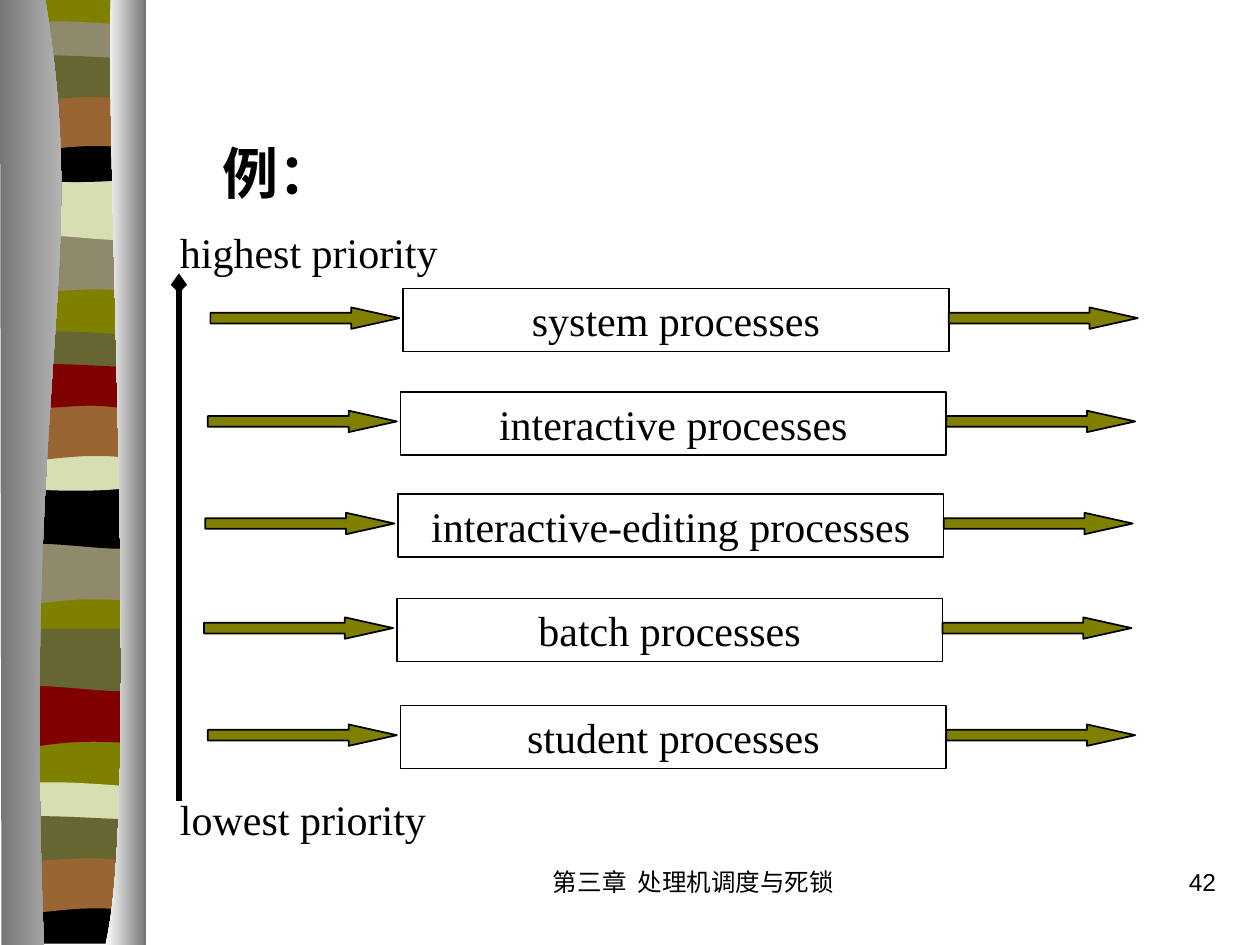
import collections

import lxml.etree
import pptx
import pptx.dml.color
import pptx.enum.shapes
import pptx.enum.text
import pptx.oxml.ns
import pptx.util

RGBColor = pptx.dml.color.RGBColor
SHAPES = pptx.enum.shapes.MSO_SHAPE
ALIGN = pptx.enum.text.PP_ALIGN
ANCHOR = pptx.enum.text.MSO_ANCHOR
qn = pptx.oxml.ns.qn

BLACK = RGBColor(0, 0, 0)
WHITE = RGBColor(0xFF, 0xFF, 0xFF)
OLIVE = RGBColor(0x80, 0x80, 0x00)
TAUPE = RGBColor(0x90, 0x8A, 0x6C)
SAGE = RGBColor(0xD6, 0xDE, 0xB2)
BROWN = RGBColor(0x99, 0x66, 0x33)
MOSS = RGBColor(0x66, 0x66, 0x33)
MAROON = RGBColor(0x80, 0x00, 0x00)
DARK_GREY = RGBColor(0x76, 0x76, 0x76)
LIGHT_GREY = RGBColor(0xD2, 0xD2, 0xD2)

# The slide is a grid of 100 columns and 75 rows of equal size
WIDTH, HEIGHT = pptx.util.Inches(10), pptx.util.Inches(7.5)
COLUMN, ROW = WIDTH / 100, HEIGHT / 75
SERIF, SANS = "Times New Roman", "Arial"

Box = collections.namedtuple("Box", "left top width height")

# Outlines in shares of their box: one point is a line, three are a curve.
FLAT_TOP = [[(0, 0)]]
SAGGING_TOP = [[(0, 0)], [(0.61, 0.1), (0.79, 0), (1, 0)]]
OUTLINES = {
    "full": [[(1, 0)], [(1, 1)], [(0, 1)], [(0, 0)]],
    "swell": [[(1, 0)], [(1, 0.94)],
              [(0.31, 0.78), (0.17, 1.1), (0, 0.94)]] + FLAT_TOP,
    "ripple": [[(1, 0)], [(1, 0.94)],
               [(0.83, 1.1), (0.31, 0.82), (0, 0.94)]] + FLAT_TOP,
    "crest": [[(1, 0)], [(1, 0.48)],
              [(0.83, 0.56), (0.17, 0.56), (0, 0.48)], [(0, 0)],
              [(0.06, -0.1), (0.22, -0.08), (0.38, -0.08)],
              [(0.55, -0.08), (0.87, -0.02), (1, 0)]],
    "bowl": [[(1, 0)], [(1, 0.64)],
             [(0.83, 0.76), (0.17, 0.76), (0, 0.64)]] + SAGGING_TOP,
    "arch": [[(1, 0)], [(1, 0.94)],
             [(0.84, 0.84), (0.78, 0.84), (0.61, 0.84)],
             [(0.44, 0.84), (0.15, 0.94), (0, 0.94)]] + FLAT_TOP,
    "drape": [[(1, 0)], [(1, 0.62)],
              [(0.94, 0.72), (0.78, 0.62), (0.61, 0.62)],
              [(0.44, 0.62), (0.1, 0.72), (0, 0.62)], [(0, 0)],
              [(0.14, -0.1), (0.68, 0), (0.84, 0)], [(1, 0)]],
    "foot": [[(1, 0)], [(1, 0.74)], [(0, 0.74)]] + SAGGING_TOP,
    "left panel": [[(0.31, 0)], [(0.62, 0.29), (0.15, 0.39), (0.3, 1)],
                   [(0.01, 1)], [(0, 0)]],
    "right panel": [[(0.76, 0)], [(0.72, 0.17), (0.96, 0.86), (0.72, 1)],
                    [(1, 1)], [(1, 0)]],
}

# Outline, top row and colour of each band, from back to front
BANDS = [
    ("swell", 18.5, TAUPE), ("ripple", 14.1, SAGE), ("crest", 2.1, TAUPE),
    ("bowl", 10.8, BLACK), ("arch", 7.4, BROWN), ("drape", 4.6, MOSS),
    ("swell", 43.1, TAUPE), ("ripple", 38.6, BLACK), ("crest", 26.7, MOSS),
    ("bowl", 35.3, SAGE), ("arch", 32, BROWN), ("drape", 29.1, MAROON),
    ("swell", 54.4, MAROON), ("ripple", 49.9, MOSS), ("crest", 62.5, SAGE),
    ("foot", 71.2, BLACK), ("arch", 67.9, BROWN), ("drape", 65, MOSS),
]

# Name, left column and top row of each queue
QUEUES = [
    ("system processes", 16.7, 22.9),
    ("interactive processes", 16.5, 31.1),
    ("interactive-editing processes", 16.3, 39.2),
    ("batch processes", 16.2, 47.5),
    ("student processes", 16.5, 56),
]


def to_emu(box):
    return [round(box.left * COLUMN), round(box.top * ROW),
            round(box.width * COLUMN), round(box.height * ROW)]


def add_outline(slide, box, name):
    left, top, width, height = to_emu(box)
    steps = OUTLINES[name]
    places = [(left + x * width, top + y * height)
              for step in steps for x, y in step]
    builder = slide.shapes.build_freeform(*places[0], scale=1.0)
    builder.add_line_segments(places[1:], close=True)
    shape = builder.convert_to_shape()
    # Join each three segments that stand for a curve into one
    segments = iter(list(shape._element.iter(qn("a:lnTo"))))
    for step in steps[1:]:
        parts = [next(segments) for _ in step]
        if len(parts) == 3:
            curve = lxml.etree.Element(qn("a:cubicBezTo"))
            parts[0].addprevious(curve)
            for part in parts:
                curve.append(part[0])
                part.getparent().remove(part)
    shape.shadow.inherit = False
    shape.line.fill.background()
    return shape


def add_shape(slide, kind, box, fill=None):
    shape = slide.shapes.add_shape(kind, *to_emu(box))
    shape.shadow.inherit = False
    shape.line.color.rgb = BLACK
    shape.line.width = pptx.util.Pt(1)
    if fill is None:
        shape.fill.background()
    else:
        shape.fill.solid()
        shape.fill.fore_color.rgb = fill
    return shape


def write(shape, text, size=24, font=SERIF, bold=False, align=ALIGN.LEFT,
          anchor=ANCHOR.TOP):
    frame = shape.text_frame
    frame.word_wrap = True
    frame.vertical_anchor = anchor
    paragraph = frame.paragraphs[0]
    paragraph.text = text
    paragraph.alignment = align
    paragraph.font.name = font
    paragraph.font.size = pptx.util.Pt(size)
    paragraph.font.bold = bold
    paragraph.font.color.rgb = BLACK


def add_text(slide, box, text, **style):
    write(slide.shapes.add_textbox(*to_emu(box)), text, **style)


def draw_ribbon(slide, box):
    """Coloured bands between two shaded panels."""
    strip = Box(box.left + 0.6, box.top, box.width - 0.8, box.height - 0.3)
    bands = [(strip, "full", OLIVE)]
    bands += [(strip._replace(top=box.top + top, height=5), name, colour)
              for name, top, colour in BANDS]
    for place, name, colour in bands:
        band = add_outline(slide, place, name)
        band.fill.solid()
        band.fill.fore_color.rgb = colour
    for name, colours in (("left panel", (DARK_GREY, LIGHT_GREY)),
                          ("right panel", (WHITE, DARK_GREY))):
        panel = add_outline(slide, box, name)
        panel.fill.gradient()
        panel.fill.gradient_angle = 0
        for stop, colour in zip(panel.fill.gradient_stops, colours):
            stop.color.rgb = colour


def draw_queue(slide, box, name):
    """A named queue with an arrow in and an arrow out."""
    queue = box._replace(left=box.left + 15.3, width=43.3)
    shape = add_shape(slide, SHAPES.RECTANGLE, queue)
    write(shape, name, align=ALIGN.CENTER, anchor=ANCHOR.MIDDLE)
    for left in (box.left, queue.left + queue.width):
        place = Box(left, box.top + 1.5, 15, 1.7)
        arrow = add_shape(slide, SHAPES.RIGHT_ARROW, place, fill=OLIVE)
        arrow.adjustments[1] = 2.25


def draw_priority_axis(slide, box):
    """An upward arrow between the labels of its two ends."""
    label = box._replace(height=5)
    add_text(slide, label, "highest priority")
    add_text(slide, label._replace(top=box.top + box.height - 5),
             "lowest priority")
    x = round((box.left + 0.9) * COLUMN)
    axis = slide.shapes.add_connector(
        pptx.enum.shapes.MSO_CONNECTOR.STRAIGHT,
        x, round((box.top + 45.8) * ROW), x, round((box.top + 4.2) * ROW))
    axis.line.color.rgb = BLACK
    axis.line.width = pptx.util.Pt(3.75)
    line = axis.line._get_or_add_ln()
    line.set("cap", "sq")
    lxml.etree.SubElement(line, qn("a:tailEnd"), type="arrow", w="sm", len="sm")
    lxml.etree.SubElement(axis._element.spPr, qn("a:effectLst"))


def draw_footer(slide, box):
    """Chapter title and page number."""
    add_text(slide, box._replace(width=31.7), "第三章  处理机调度与死锁",
             size=14, font=SANS, align=ALIGN.CENTER)
    add_text(slide, box._replace(left=box.left + box.width - 20.8, width=20.8),
             "42", size=14, font=SANS, align=ALIGN.RIGHT)


def main():
    presentation = pptx.Presentation()
    presentation.slide_width, presentation.slide_height = WIDTH, HEIGHT
    slide = presentation.slides.add_slide(presentation.slide_layouts[6])
    draw_ribbon(slide, Box(0, 0, 11.6, 75))
    add_text(slide, Box(16.7, 10.5, 11.2, 6.4), "例：", size=32, bold=True)
    for name, left, top in QUEUES:
        draw_queue(slide, Box(left, top, 73.6, 5), name)
    draw_priority_axis(slide, Box(13.3, 17.5, 22.7, 50))
    draw_footer(slide, Box(39.2, 68.3, 58.3, 5))
    presentation.save("out.pptx")


if __name__ == "__main__":
    main()
